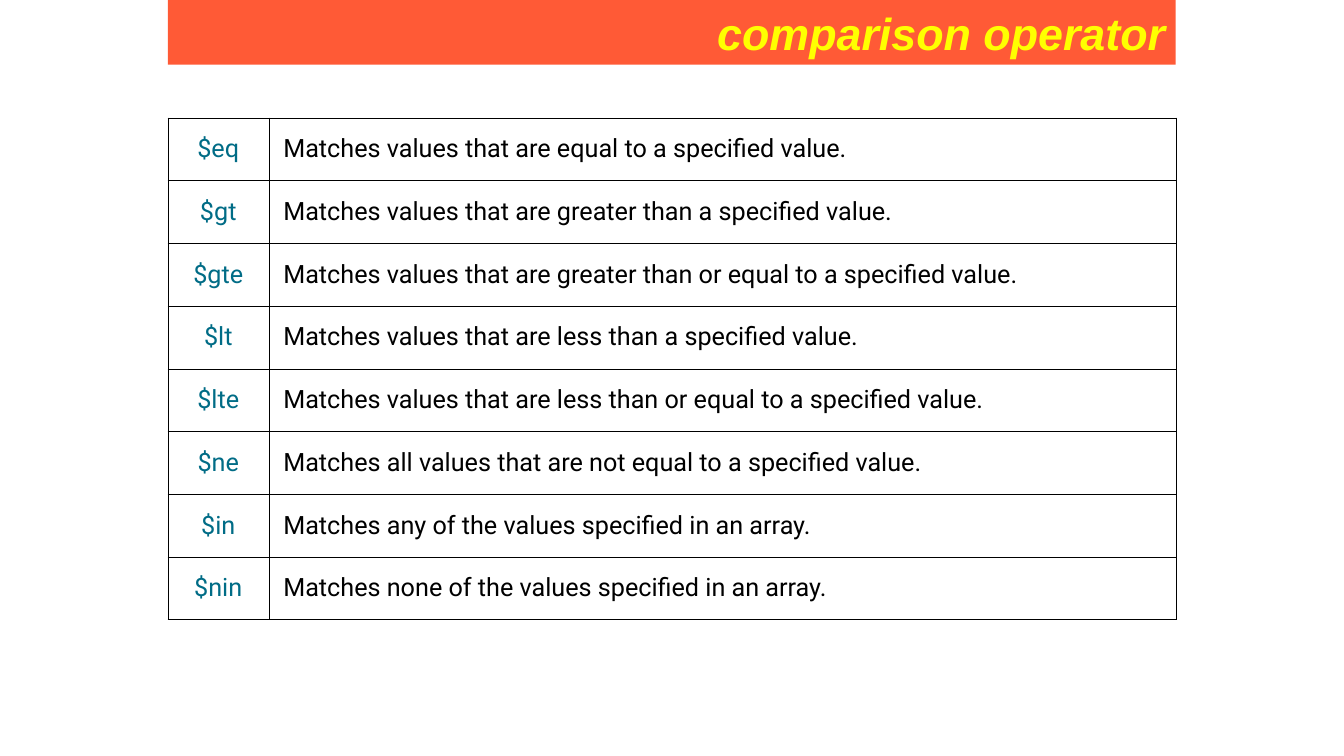
from dataclasses import dataclass

from lxml import etree
from pptx import Presentation
from pptx.dml.color import RGBColor
from pptx.enum.shapes import MSO_SHAPE
from pptx.enum.text import MSO_ANCHOR, PP_ALIGN
from pptx.oxml.ns import qn
from pptx.slide import Slide
from pptx.table import _Cell
from pptx.util import Cm, Pt

RECTANGLE = MSO_SHAPE.RECTANGLE
MIDDLE = MSO_ANCHOR.MIDDLE
LEFT, CENTER, RIGHT = PP_ALIGN.LEFT, PP_ALIGN.CENTER, PP_ALIGN.RIGHT


@dataclass(frozen=True)
class Theme:
    band: str = "FF5A36"
    title: str = "FFFF00"
    operator: str = "006C86"
    text: str = "000000"
    border: str = "000000"
    title_font: str = "Arial"
    table_font: str = "Roboto"
    title_size: float = 32
    table_size: float = 18
    border_width: float = 0.25


@dataclass(frozen=True)
class Operator:
    name: str
    meaning: str


@dataclass(frozen=True)
class Column:
    width: float
    inset: float
    color: str
    alignment: PP_ALIGN


THEME = Theme()
CONTENT_LEFT = 4.23
CONTENT_WIDTH = 25.4
TABLE_TOP = 2.97
ROW_HEIGHT = 1.58
COLUMNS = (
    Column(2.54, 0.08, THEME.operator, CENTER),
    Column(22.86, 0.37, THEME.text, LEFT),
)
OPERATORS = (
    Operator("$eq", "Matches values that are equal to a specified value."),
    Operator("$gt", "Matches values that are greater than a specified value."),
    Operator("$gte", "Matches values that are greater than or equal to a specified value."),
    Operator("$lt", "Matches values that are less than a specified value."),
    Operator("$lte", "Matches values that are less than or equal to a specified value."),
    Operator("$ne", "Matches all values that are not equal to a specified value."),
    Operator("$in", "Matches any of the values specified in an array."),
    Operator("$nin", "Matches none of the values specified in an array."),
)


def add_title(page: Slide, title: str) -> None:
    band = page.shapes.add_shape(
        RECTANGLE, Cm(CONTENT_LEFT), Cm(0), Cm(CONTENT_WIDTH), Cm(1.63)
    )
    band.shadow.inherit = False
    band.fill.solid()
    band.fill.fore_color.rgb = RGBColor.from_string(THEME.band)
    band.line.fill.background()
    band.text_frame.word_wrap = True
    band.text_frame.vertical_anchor = MIDDLE
    para = band.text_frame.paragraphs[0]
    para.text = title
    para.alignment = RIGHT
    para.font.name = THEME.title_font
    para.font.size = Pt(THEME.title_size)
    para.font.bold = True
    para.font.italic = True
    para.font.color.rgb = RGBColor.from_string(THEME.title)


def draw_borders(cell: _Cell) -> None:
    properties = cell._tc.get_or_add_tcPr()
    for position, side in enumerate(("a:lnL", "a:lnR", "a:lnT", "a:lnB")):
        line = etree.Element(qn(side), w=str(Pt(THEME.border_width)))
        fill = etree.SubElement(line, qn("a:solidFill"))
        etree.SubElement(fill, qn("a:srgbClr"), val=THEME.border)
        properties.insert(position, line)


def fill_cell(cell: _Cell, text: str, column: Column) -> None:
    cell.fill.background()
    cell.vertical_anchor = MIDDLE
    cell.margin_left = Cm(column.inset)
    cell.margin_right = Cm(0.08)
    cell.margin_top = cell.margin_bottom = Cm(0.05)
    para = cell.text_frame.paragraphs[0]
    para.text = text
    para.alignment = column.alignment
    para.font.name = THEME.table_font
    para.font.size = Pt(THEME.table_size)
    para.font.bold = False
    para.font.color.rgb = RGBColor.from_string(column.color)
    draw_borders(cell)


def add_operator_table(page: Slide) -> None:
    table = page.shapes.add_table(
        len(OPERATORS), len(COLUMNS), Cm(CONTENT_LEFT), Cm(TABLE_TOP),
        Cm(CONTENT_WIDTH), Cm(ROW_HEIGHT * len(OPERATORS)),
    ).table
    table.first_row = False
    table.horz_banding = False
    for index, column in enumerate(COLUMNS):
        table.columns[index].width = Cm(column.width)
    for row, operator in enumerate(OPERATORS):
        table.rows[row].height = Cm(ROW_HEIGHT)
        for index, text in enumerate((operator.name, operator.meaning)):
            fill_cell(table.cell(row, index), text, COLUMNS[index])


def main() -> None:
    deck = Presentation()
    deck.slide_width = Cm(33.87)
    deck.slide_height = Cm(19.05)
    page = deck.slides.add_slide(deck.slide_layouts[6])
    add_title(page, "comparison operator")
    add_operator_table(page)
    deck.save("out.pptx")


if __name__ == "__main__":
    main()
